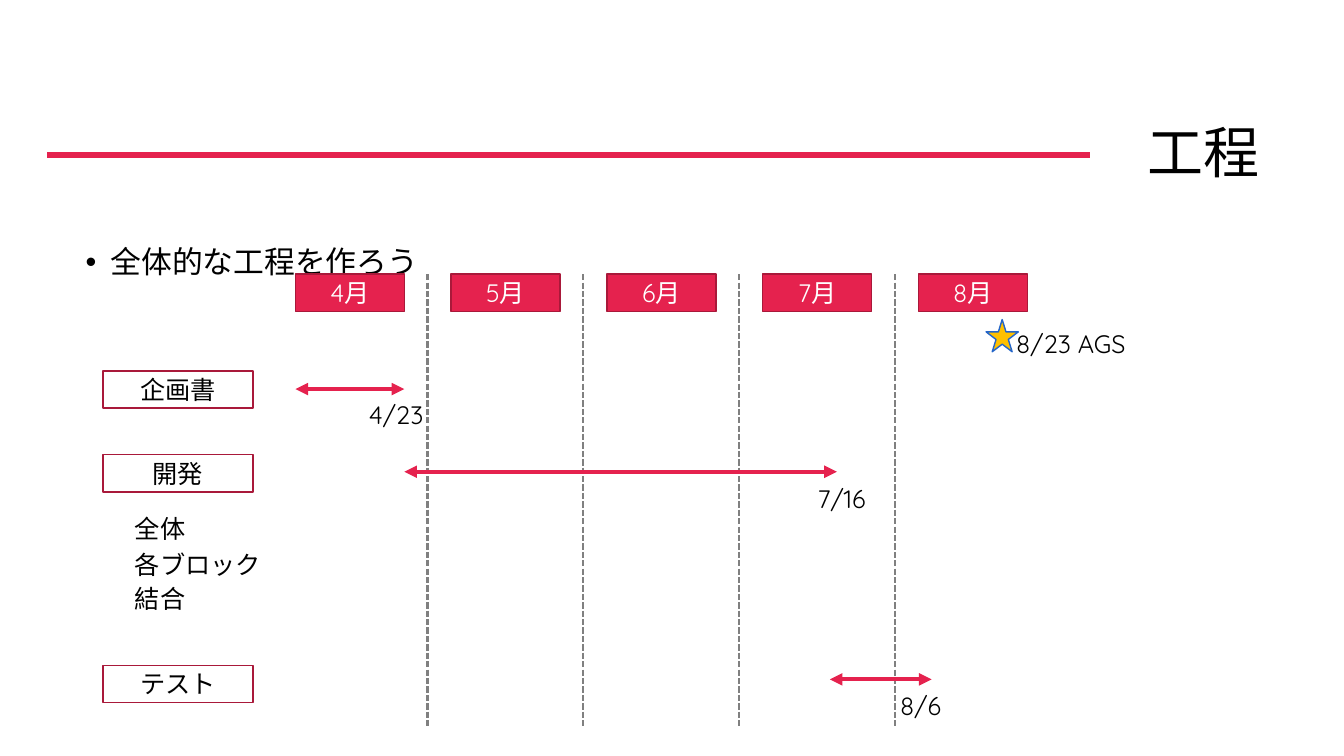
"""Builds the project schedule slide, a timeline from April to August."""
import pptx
import pptx.util
import pptx.dml.color
import pptx.enum.dml
import pptx.enum.shapes
import pptx.enum.text
import pptx.oxml.ns
import pptx.oxml.xmlchemy

Inches = pptx.util.Inches
Pt = pptx.util.Pt
RGBColor = pptx.dml.color.RGBColor
ALIGN = pptx.enum.text.PP_ALIGN
ANCHOR = pptx.enum.text.MSO_ANCHOR
SHAPE = pptx.enum.shapes.MSO_SHAPE
OxmlElement = pptx.oxml.xmlchemy.OxmlElement
qn = pptx.oxml.ns.qn

CRIMSON = RGBColor(0xE5, 0x22, 0x4E)
DARK_CRIMSON = RGBColor(0xA9, 0x19, 0x3A)
GRAY = RGBColor(0x80, 0x80, 0x80)
GOLD = RGBColor(0xFF, 0xC0, 0x00)
BLUE = RGBColor(0x23, 0x65, 0xC9)
BLACK = RGBColor(0, 0, 0)
WHITE = RGBColor(0xFF, 0xFF, 0xFF)

LABEL_HEIGHT = 0.37
MONTH_TOP = 2.72
MONTH_STEP = 1.545


def write(holder, text, size=18, color=BLACK, align=ALIGN.LEFT, anchor=ANCHOR.MIDDLE):
    frame = holder.text_frame
    frame.word_wrap = True
    frame.vertical_anchor = anchor
    paragraph = frame.paragraphs[0]
    paragraph.alignment = align
    run = paragraph.add_run()
    run.text = text
    run.font.name = "Quicksand"
    run.font.size = Pt(size)
    run.font.color.rgb = color
    return paragraph


def draw_line(left, top, right, bottom, color, width):
    line = slide.shapes.add_connector(
        pptx.enum.shapes.MSO_CONNECTOR.STRAIGHT,
        Inches(left), Inches(top), Inches(right), Inches(bottom))
    line.line.color.rgb = color
    line.line.width = Pt(width)
    line._element.spPr.append(OxmlElement("a:effectLst"))
    return line


deck = pptx.Presentation()
deck.slide_width = Inches(13.33)
deck.slide_height = Inches(7.5)
slide = deck.slides.add_slide(deck.slide_layouts[6])

draw_line(0.47, 1.54, 10.81, 1.54, CRIMSON, 4.5)
title = slide.shapes.add_textbox(Inches(3.17), Inches(0.84), Inches(9.42), Inches(1.41))
write(title, "工程", 40, align=ALIGN.RIGHT).line_spacing = 0.9

goal = slide.shapes.add_textbox(Inches(0.75), Inches(2.4), Inches(11.83), Inches(4.4))
goal_line = write(goal, "全体的な工程を作ろう", 22, anchor=ANCHOR.TOP)
goal_line.line_spacing = 0.9
goal_line.space_before = Pt(10)
indent = goal_line._p.get_or_add_pPr()
indent.set("marL", str(Inches(0.25)))
indent.set("indent", str(Inches(-0.25)))
bullet_font = OxmlElement("a:buFont")
bullet_font.set("typeface", "Arial")
bullet = OxmlElement("a:buChar")
bullet.set("char", "•")
indent.extend([bullet_font, bullet])

boxes = [(2.93 + i * MONTH_STEP, MONTH_TOP, 1.08, f"{i + 4}月", CRIMSON, WHITE)
         for i in range(5)]
boxes += [(1.02, top, 1.49, phase, WHITE, BLACK)
          for top, phase in [(3.68, "企画書"), (4.51, "開発"), (6.6, "テスト")]]
for left, top, width, text, fill, color in boxes:
    box = slide.shapes.add_shape(
        SHAPE.RECTANGLE, Inches(left), Inches(top), Inches(width), Inches(LABEL_HEIGHT))
    box.shadow.inherit = False
    box.fill.solid()
    box.fill.fore_color.rgb = fill
    box.line.color.rgb = DARK_CRIMSON
    box.line.width = Pt(1)
    write(box, text, color=color, align=ALIGN.CENTER)

for i in range(4):
    month_end = 4.24 + i * MONTH_STEP
    divider = draw_line(month_end, MONTH_TOP, month_end, 7.22, GRAY, 1.5)
    divider.line.dash_style = pptx.enum.dml.MSO_LINE.SQUARE_DOT

for start, end, height in [(2.93, 4.01, 3.86), (4.01, 8.3, 4.68), (8.23, 9.24, 6.74)]:
    period = draw_line(start, height, end, height, CRIMSON, 3)
    for tip in ("a:headEnd", "a:tailEnd"):
        arrowhead = OxmlElement(tip)
        arrowhead.set("type", "triangle")
        period._element.spPr.find(qn("a:ln")).append(arrowhead)

for left, top, date in [(9.98, 3.22, "8/23 AGS"), (3.56, 3.93, "4/23"),
                        (8.01, 4.76, "7/16"), (8.83, 6.81, "8/6")]:
    deadline = slide.shapes.add_textbox(
        Inches(left), Inches(top), Inches(1.35), Inches(LABEL_HEIGHT))
    write(deadline, date)

star = slide.shapes.add_shape(
    SHAPE.STAR_5_POINT, Inches(9.78), Inches(3.17), Inches(0.32), Inches(0.32))
star.shadow.inherit = False
star.fill.solid()
star.fill.fore_color.rgb = GOLD
star.line.color.rgb = BLUE
star.line.width = Pt(1)

for top, task in [(5.06, "全体"), (5.75, "結合"), (5.41, "各ブロック")]:
    step = slide.shapes.add_shape(
        SHAPE.RECTANGLE, Inches(1.24), Inches(top), Inches(1.7), Inches(LABEL_HEIGHT))
    step.shadow.inherit = False
    step.fill.solid()
    step.fill.fore_color.rgb = WHITE
    step.line.fill.background()
    write(step, task)

deck.save("out.pptx")
